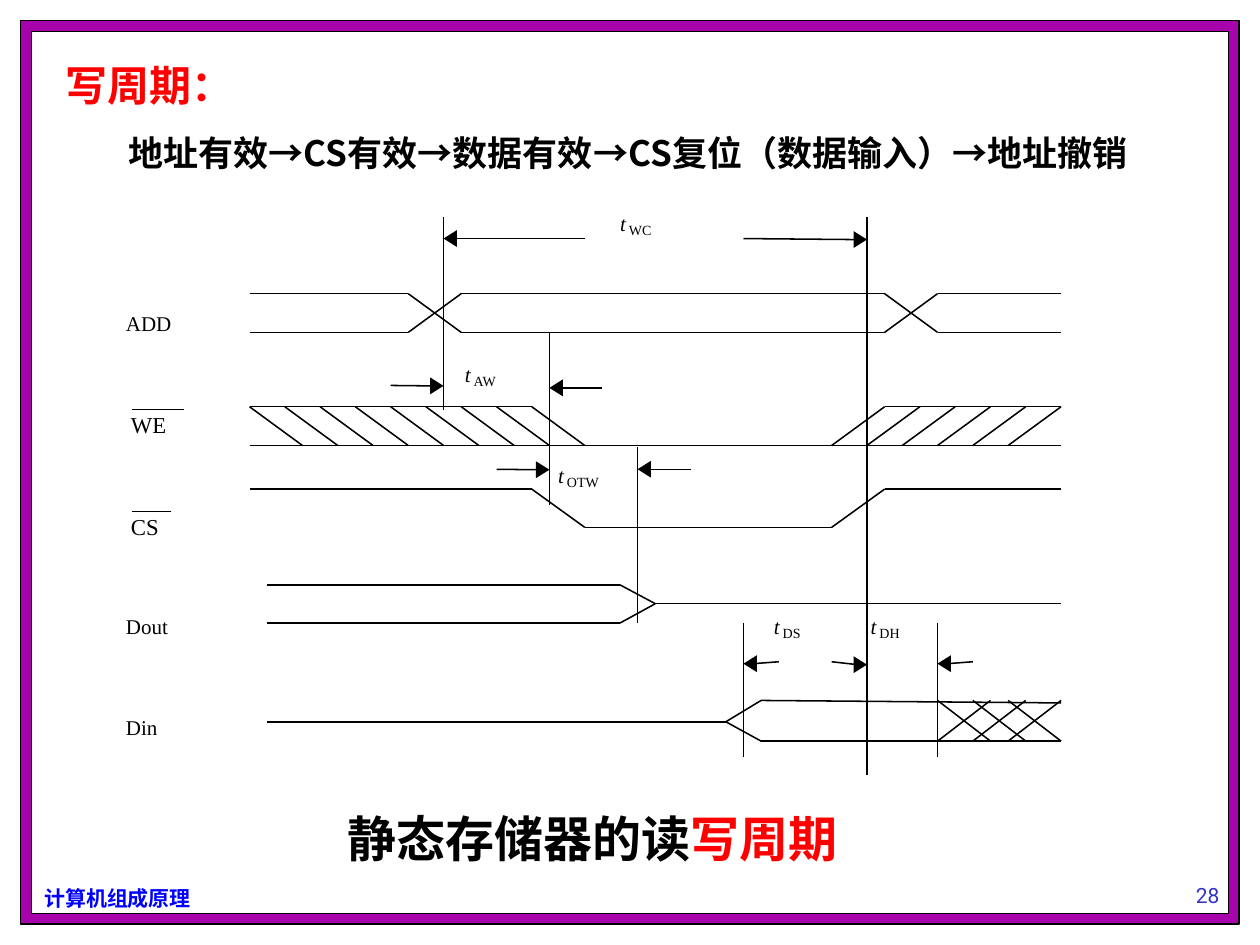
from dataclasses import dataclass

from lxml import etree
from pptx import Presentation
from pptx import util as u
from pptx.dml.color import RGBColor
from pptx.enum import shapes, text
from pptx.oxml.ns import qn


@dataclass(frozen=True)
class Theme:
    black: str = "000000"
    white: str = "FFFFFF"
    purple: str = "A603AB"
    red: str = "FF0000"
    blue: str = "0000FF"
    indigo: str = "3333CC"
    cjk: str = "Noto Sans CJK SC"
    serif: str = "Times New Roman"
    arrow: str = "Arial"
    number: str = "Roboto"
    caption_size: int = 28
    heading_size: int = 24
    body_size: int = 20
    bar_size: int = 13
    label_size: int = 12
    sub_size: int = 8
    frame_line: float = 0.75
    signal_line: float = 0.88
    bar_line: float = 0.5


T = Theme()
FIRST_COLUMN, COLUMN = 5.03, 16.36 / 46  # time axis: 46 equal steps


def at(column):
    return FIRST_COLUMN + column * COLUMN


class Diagram:
    def __init__(self, slide, theme):
        self.slide, self.theme = slide, theme

    def frame(self, left, top, width, height, fill):
        panel = self.slide.shapes.add_shape(
            shapes.MSO_SHAPE.RECTANGLE, *map(u.Cm, (left, top, width, height)))
        panel.shadow.inherit = False
        panel.fill.solid()
        panel.fill.fore_color.rgb = RGBColor.from_string(fill)
        panel.line.color.rgb = RGBColor.from_string(self.theme.black)
        panel.line.width = u.Pt(self.theme.frame_line)
        self.to_layout(panel)

    def to_layout(self, part):
        """Place a part behind the slide's own content."""
        self.slide.slide_layout.shapes._spTree.append(part._element)

    def run(self, paragraph, words, color, size, name, **style):
        run = paragraph.add_run()
        run.text = words
        for key, value in dict(size=u.Pt(size), name=name, **style).items():
            setattr(run.font, key, value)
        run.font.color.rgb = RGBColor.from_string(color)
        etree.SubElement(run._r.get_or_add_rPr(), qn("a:ea"), typeface=self.theme.cjk)

    def fit(self, holder, box, inset=(0, 0), wrap=False, anchor=text.MSO_ANCHOR.TOP):
        for key, value in zip(("left", "top", "width", "height"), box):
            setattr(holder, key, u.Cm(value))
        side, end = map(u.Cm, inset)
        settings = dict(margin_left=side, margin_right=side, margin_top=end,
                        margin_bottom=end, word_wrap=wrap, vertical_anchor=anchor,
                        auto_size=text.MSO_AUTO_SIZE.NONE)
        for key, value in settings.items():
            setattr(holder.text_frame, key, value)
        return holder.text_frame.paragraphs[0]

    def label(self, words, box, color, size, name, align=text.PP_ALIGN.LEFT,
              bold=False, italic=False, **layout):
        holder = self.slide.shapes.add_textbox(0, 0, 0, 0)
        paragraph = self.fit(holder, box, **layout)
        paragraph.alignment = align
        self.run(paragraph, words, color, size, name, bold=bold, italic=italic)
        return holder

    def timing(self, subscript, left, top, width):
        black, serif = self.theme.black, self.theme.serif
        self.label("t", (left, top, 0.13, 0.51), black, self.theme.label_size,
                   serif, italic=True)
        self.label(subscript, (left + 0.18, top + 0.23, width, 0.33), black,
                   self.theme.sub_size, serif)

    def line(self, start, end, weight=None):
        stroke = self.slide.shapes.add_connector(
            shapes.MSO_CONNECTOR.STRAIGHT, *map(u.Cm, (*start, *end)))
        stroke.line.color.rgb = RGBColor.from_string(self.theme.black)
        stroke.line.width = u.Pt(weight or self.theme.signal_line)
        etree.SubElement(stroke._element.spPr, qn("a:effectLst"))

    def signal(self, *points):
        """Join (column, height) points with straight strokes."""
        spots = [(at(column), y) for column, y in points]
        for start, end in zip(spots, spots[1:]):
            self.line(start, end)

    def arrow(self, tail, tip, tail_y, tip_y):
        way = 1 if tip > tail else -1
        x = at(tip)
        self.line((at(tail), tail_y), (x - way * 0.18, tip_y))
        back = x - way * 0.27
        outline = self.slide.shapes.build_freeform(u.Cm(back), u.Cm(tip_y - 0.17))
        outline.add_line_segments(
            [(u.Cm(x), u.Cm(tip_y)), (u.Cm(back), u.Cm(tip_y + 0.17))], close=True)
        head = outline.convert_to_shape()
        head.shadow.inherit = False
        head.fill.solid()
        head.fill.fore_color.rgb = RGBColor.from_string(self.theme.black)
        head.line.fill.background()


def main():
    deck = Presentation()
    deck.slide_width, deck.slide_height = u.Cm(25.4), u.Cm(19.05)
    slide = deck.slides.add_slide(deck.slide_layouts[1])
    d = Diagram(slide, T)

    # Border, course name and page number
    d.frame(0.42, 0.42, 24.56, 18.21, T.purple)
    d.frame(0.64, 0.64, 24.13, 17.78, T.white)
    d.to_layout(d.label("计算机组成原理", (0.64, 17.73, 3.45, 0.76), T.blue,
                        T.label_size, T.cjk, bold=True, inset=(0.25, 0.13)))
    d.label("28", (22.02, 17.15, 4.65, 1.27), T.indigo, T.label_size, T.number,
            align=text.PP_ALIGN.CENTER, inset=(0.25, 0.13), wrap=True,
            anchor=text.MSO_ANCHOR.BOTTOM)

    # Caption in the title placeholder, with room to stay on one line
    caption = d.fit(slide.shapes.title, (7.01, 16.29, 10.4, 1.19), wrap=True)
    caption.alignment = text.PP_ALIGN.LEFT
    for words, color in (("静态存储器的读", T.black), ("写周期", T.red)):
        d.run(caption, words, color, T.caption_size, T.cjk, bold=True)

    # Heading and sequence of steps in the body placeholder
    body = slide.placeholders[1]
    heading = d.fit(body, (1.07, 1.07, 23.5, 2.57), inset=(0.25, 0.13), wrap=True)
    sequence = body.text_frame.add_paragraph()
    sequence.level = 1
    for paragraph, indent, before in ((heading, 0, 0), (sequence, 1.27, 12.5)):
        properties = paragraph._p.get_or_add_pPr()
        properties.set("marL", str(u.Cm(indent)))
        properties.set("indent", "0")
        etree.SubElement(properties, qn("a:buNone"))
        paragraph.space_before = u.Pt(before)
    d.run(heading, "写周期：", T.red, T.heading_size, T.cjk, bold=True)
    steps = ("地址有效", "CS有效", "数据有效", "CS复位（数据输入）", "地址撤销")
    for index, step in enumerate(steps):
        if index:
            d.run(sequence, "→", T.black, T.body_size, T.arrow, bold=True)
        d.run(sequence, step, T.black, T.body_size, T.cjk, bold=True)

    # Signal names, the active-low ones with a bar
    for name, top, width in (("ADD", 6.27, 0.91), ("Dout", 12.37, 0.84),
                             ("Din", 14.4, 0.64)):
        d.label(name, (2.54, top, width, 0.51), T.black, T.label_size, T.serif)
    for name, top, width, bar in (("WE", 8.28, 0.71, 3.71), ("CS", 10.34, 0.56, 3.45)):
        d.label(name, (2.64, top, width, 0.56), T.black, T.bar_size, T.serif)
        d.line((2.67, top - 0.02), (bar, top - 0.02), T.bar_line)

    # Address: two levels that cross at each change
    high, low = 5.92, 6.7
    for a, b in ((high, low), (low, high)):
        d.signal((0, a), (9, a), (12, b), (36, b), (39, a), (46, a))

    # Write enable with hatching
    high, low = 8.2, 8.98
    d.signal((0, high), (16, high), (19, low))
    d.signal((0, low), (46, low))
    d.signal((33, low), (36, high), (46, high))
    for column in range(0, 15, 2):
        d.signal((column, high), (column + 3, low))
    for column in range(35, 44, 2):
        d.signal((column, low), (column + 3, high))

    # Chip select
    high, low = 9.86, 10.63
    d.signal((0, high), (16, high), (19, low), (33, low), (36, high), (46, high))

    # Data out
    high, middle, low = 11.79, 12.17, 12.56
    d.signal((1, high), (21, high), (23, middle), (46, middle))
    d.signal((1, low), (21, low), (23, middle))

    # Data in with cross-hatching
    high, middle, low = 14.12, 14.55, 14.94
    d.signal((1, middle), (27, middle), (29, high), (46, high + 0.05))
    d.signal((27, middle), (29, low), (46, low))
    for column in (39, 41, 43):
        d.signal((column, high), (column + 3, low))
        d.signal((column, low), (column + 3, high))

    # Time marks
    for column, top, bottom in ((11, 4.37, 8.26), (17, 6.7, 10.19), (35, 4.37, 15.62),
                                (22, 9.02, 12.55), (28, 12.55, 15.27),
                                (39, 12.55, 15.27)):
        d.signal((column, top), (column, bottom))

    # Interval arrows and names
    for tail, tip, tail_y, tip_y in (
            (19, 11, 4.81, 4.81), (28, 35, 4.81, 4.83), (8, 11, 7.77, 7.78),
            (20, 17, 7.82, 7.82), (14, 17, 9.46, 9.47), (25, 22, 9.46, 9.46),
            (30, 28, 13.34, 13.38), (33, 35, 13.34, 13.4), (41, 39, 13.34, 13.38)):
        d.arrow(tail, tip, tail_y, tip_y)
    for subscript, left, top, width in (
            ("WC", 12.5, 4.24, 0.46), ("AW", 9.37, 7.29, 0.48),
            ("OTW", 11.25, 9.32, 0.66), ("DS", 15.6, 12.37, 0.36),
            ("DH", 17.55, 12.37, 0.41)):
        d.timing(subscript, left, top, width)

    deck.save("out.pptx")


if __name__ == "__main__":
    main()
